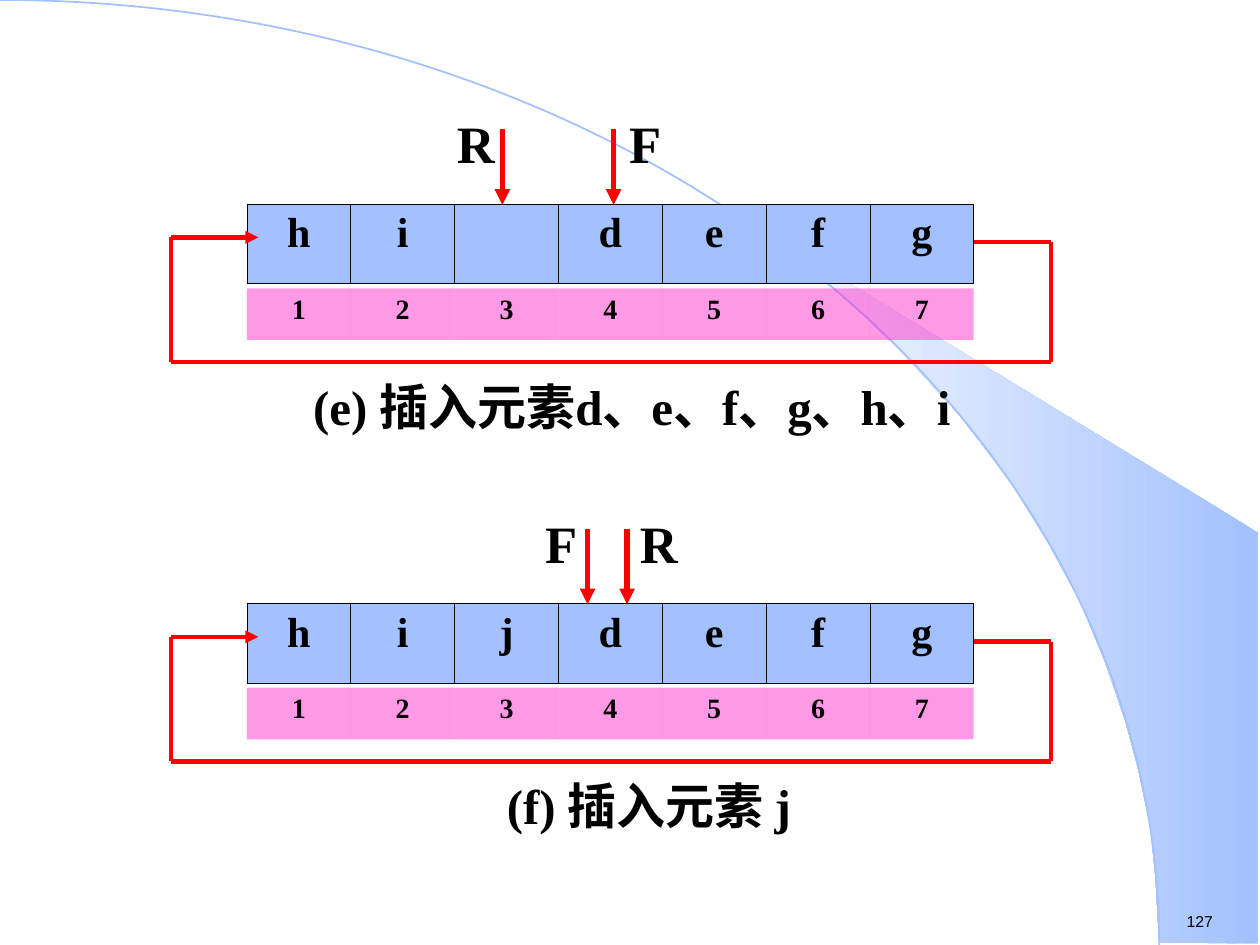
from dataclasses import dataclass
from itertools import pairwise

from lxml.etree import SubElement
from pptx import Presentation
from pptx.dml.color import RGBColor
from pptx.enum.shapes import MSO_CONNECTOR, MSO_SHAPE
from pptx.enum.text import MSO_AUTO_SIZE, PP_ALIGN
from pptx.oxml.ns import qn
from pptx.util import Inches, Pt

BLACK = RGBColor(0x00, 0x00, 0x00)
RED = RGBColor(0xFF, 0x00, 0x00)
BLUE = RGBColor(0xA2, 0xC1, 0xFE)
PINK = RGBColor(0xFF, 0x33, 0xCC)
PALE = RGBColor(0xFE, 0xFE, 0xFE)
SERIF, SANS, HAN = "Times New Roman", "Arial", "Noto Sans CJK SC"
NO_TABLE_STYLE = "{2D5ABB26-0587-4C30-8999-92F81FD0307C}"

WIDTH, HEIGHT = Inches(10), Inches(7.5)
SLOTS = 7
WEDGE = [
    (9.2, 7.48), (9.99, 7.49), (9.99, 4.23), (5.89, 1.73), (6.24, 1.99),
    (6.53, 2.22), (6.85, 2.5), (7.16, 2.8), (7.62, 3.3), (8.03, 3.84),
    (8.32, 4.31), (8.58, 4.79), (8.78, 5.28), (8.93, 5.72), (9.03, 6.09),
    (9.13, 6.56), (9.17, 6.96), (9.2, 7.48),
]


@dataclass
class Grid:
    """Columns are queue slots, rows are slot heights, counted from the first slot."""
    left: int
    top: int
    column: int
    row: int

    def point(self, column, row):
        return int(self.left + column * self.column), int(self.top + row * self.row)

    def box(self, column, row, columns, rows):
        return *self.point(column, row), int(columns * self.column), int(rows * self.row)


def style_run(span, size, font=SERIF, bold=True):
    span.font.size = Pt(size)
    span.font.name = font
    span.font.bold = bold
    span.font.color.rgb = BLACK
    SubElement(span._r.get_or_add_rPr(), qn("a:ea")).set("typeface", HAN)


def add_label(page, box, parts, size):
    """Centred text without margins; parts are (text, font) pairs."""
    frame = page.shapes.add_textbox(*box).text_frame
    frame.word_wrap = True
    frame.margin_left = frame.margin_right = frame.margin_top = frame.margin_bottom = 0
    para = frame.paragraphs[0]
    para.alignment = PP_ALIGN.CENTER
    para.line_spacing = Pt(33)
    for text, font in parts:
        span = para.add_run()
        span.text = text
        style_run(span, size, font)


def add_line(page, start, end, width, arrow=False):
    line = page.shapes.add_connector(MSO_CONNECTOR.STRAIGHT, *start, *end)
    line.line.color.rgb = RED
    line.line.width = Pt(width)
    if arrow:
        SubElement(line.line._get_or_add_ln(), qn("a:tailEnd")).set("type", "triangle")
    SubElement(line._element.spPr, qn("a:effectLst"))


def add_cell_borders(cell):
    properties = cell._tc.get_or_add_tcPr()
    for index, side in enumerate(("lnL", "lnR", "lnT", "lnB")):
        border = properties.makeelement(qn(f"a:{side}"), {"w": str(Pt(0.45))})
        fill = SubElement(border, qn("a:solidFill"))
        SubElement(fill, qn("a:srgbClr")).set("val", str(BLACK))
        properties.insert(index, border)


def add_strip(page, box, values, size, color, opacity=100, bordered=False):
    """One-row table with a value in each slot."""
    table = page.shapes.add_table(1, len(values), *box).table
    table.first_row = table.horz_banding = False
    table._tbl.tblPr.find(qn("a:tableStyleId")).text = NO_TABLE_STYLE
    for cell, value in zip(table.rows[0].cells, values):
        cell.fill.solid()
        cell.fill.fore_color.rgb = color
        if opacity < 100:
            tint = cell._tc.tcPr.find(".//" + qn("a:srgbClr"))
            SubElement(tint, qn("a:alpha")).set("val", str(opacity * 1000))
        if bordered:
            add_cell_borders(cell)
        if value:
            para = cell.text_frame.paragraphs[0]
            para.text = value
            para.alignment = PP_ALIGN.CENTER
            style_run(para.runs[0], size)


def add_pointer(page, grid, name, column, side):
    """Arrow down onto a slot, with its name on the given side."""
    add_line(page, grid.point(column, -0.94), grid.point(column, 0.01), 3, arrow=True)
    shift = -0.52 if side == "left" else 0.04
    add_label(page, grid.box(column + shift, -1.1, 0.53, 0.76), [(name, SERIF)], 30)


def add_return_loop(page, grid):
    corners = [(7, 0.48), (7.74, 0.48), (7.74, 1.99), (-0.73, 1.99), (-0.73, 0.42), (0.11, 0.42)]
    for start, end in pairwise(corners):
        add_line(page, grid.point(*start), grid.point(*end), 2.5, arrow=end == corners[-1])


def add_queue(page, grid, letters, pointers, caption, caption_span):
    """Ring queue: slots, slot numbers, pointers, return loop and caption."""
    add_strip(page, grid.box(0, 0, SLOTS, 1), letters, 24, BLUE, bordered=True)
    numbers = [str(number + 1) for number in range(SLOTS)]
    add_strip(page, grid.box(0, 1.06, SLOTS, 0.65), numbers, 16, PINK, opacity=50)
    for pointer in pointers:
        add_pointer(page, grid, *pointer)
    add_return_loop(page, grid)
    column, columns = caption_span
    add_label(page, grid.box(column, 2.18, columns, 0.83), caption, 28)


def add_backdrop(page):
    """Gradient wedge behind a quarter of an ellipse."""
    points = [(Inches(x), Inches(y)) for x, y in WEDGE]
    builder = page.shapes.build_freeform(*points[0])
    builder.add_line_segments(points[1:])
    wedge = builder.convert_to_shape()
    wedge.shadow.inherit = False
    wedge.line.fill.background()
    wedge.fill.gradient()
    wedge.fill.gradient_angle = 180
    for stop, color in zip(wedge.fill.gradient_stops, (BLUE, PALE)):
        stop.color.rgb = color

    radius = int(WIDTH * 0.92)
    arc = page.shapes.add_shape(MSO_SHAPE.ARC, -radius, 0, 2 * radius, 2 * HEIGHT)
    arc.shadow.inherit = False
    arc.fill.background()
    arc.line.color.rgb = BLUE
    arc.line.width = Pt(1)


def add_page_number(page, number):
    box = page.shapes.add_textbox(Inches(9.32), Inches(7.19), Inches(0.77), Inches(0.25))
    frame = box.text_frame
    frame.word_wrap = False
    frame.auto_size = MSO_AUTO_SIZE.SHAPE_TO_FIT_TEXT
    frame.text = number
    style_run(frame.paragraphs[0].runs[0], 9, SANS, bold=False)


def main():
    deck = Presentation()
    deck.slide_width, deck.slide_height = WIDTH, HEIGHT
    page = deck.slides.add_slide(deck.slide_layouts[6])
    add_backdrop(page)
    add_page_number(page, "127")

    queues = [
        (["h", "i", "", "d", "e", "f", "g"],
         [("R", 2.46, "left"), ("F", 3.53, "right")],
         [("(e) ", SERIF), ("插入元素", HAN), ("d、e、f、g、h、i", SERIF)],
         (0.46, 6.49)),
        (["h", "i", "j", "d", "e", "f", "g"],
         [("F", 3.28, "left"), ("R", 3.66, "right")],
         [("(f) ", SERIF), ("插入元素 ", HAN), ("j", SERIF)],
         (1.33, 5.08)),
    ]
    for index, queue in enumerate(queues):
        top = Inches(1.62 + index * 3.17)
        add_queue(page, Grid(Inches(1.96), top, Inches(5.77) // SLOTS, Inches(0.63)), *queue)
    deck.save("out.pptx")


if __name__ == "__main__":
    main()
